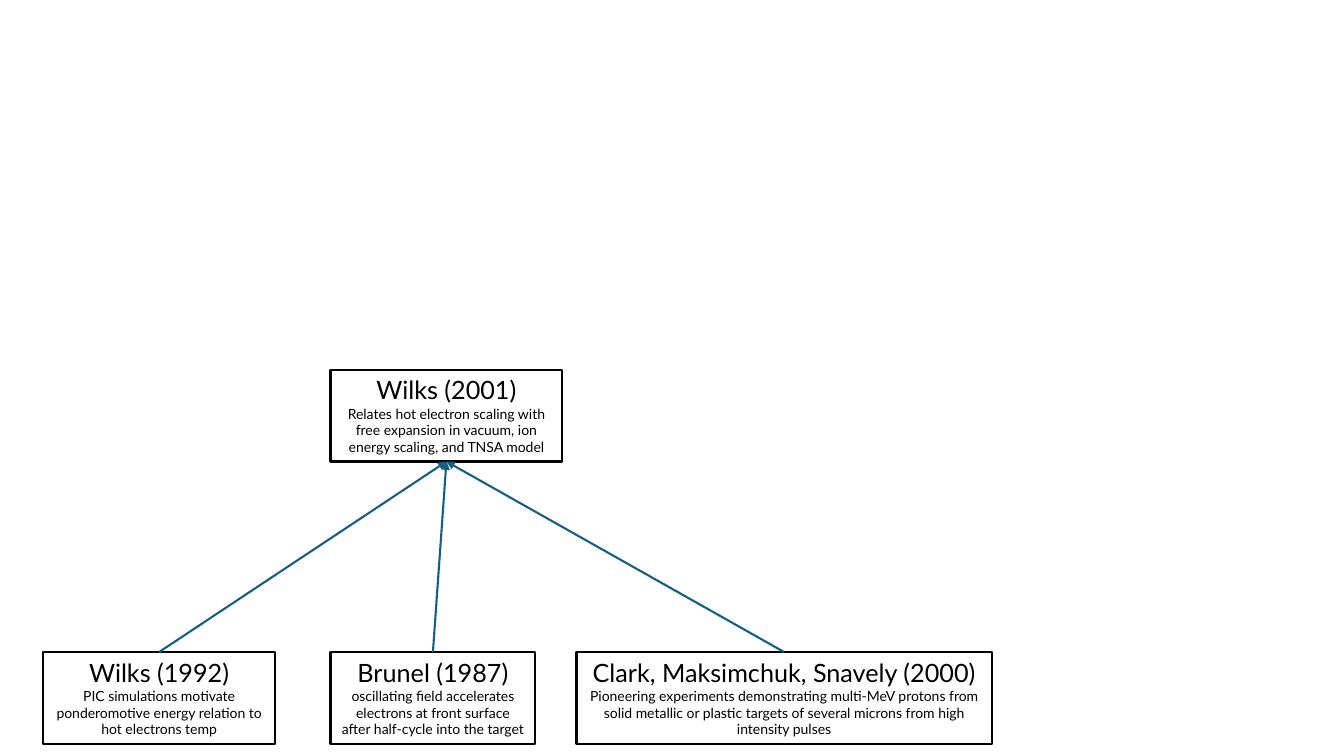
from dataclasses import dataclass

from lxml.etree import SubElement
from pptx import Presentation
from pptx.dml.color import RGBColor
from pptx.enum.shapes import MSO_CONNECTOR as Connector, MSO_SHAPE as Preset
from pptx.enum.text import MSO_ANCHOR as Anchor, MSO_AUTO_SIZE as AutoSize, PP_ALIGN as Align
from pptx.oxml.ns import qn
from pptx.shapes.autoshape import Shape
from pptx.slide import Slide
from pptx.util import Cm, Pt

BLACK, WHITE, TEAL = "000000", "FFFFFF", "156082"
FONT = "Lato"
BOX_HEIGHT = 2.31
LINE_WIDTH = Pt(1.5)
TOP_SIDE, BOTTOM_SIDE = 0, 2
EARLIER_TOP, MODEL_TOP = 16.43, 9.32


@dataclass(frozen=True)
class Paper:
    authors: str
    finding: str
    left: float
    top: float
    width: float


EARLIER_PAPERS = [
    Paper("Brunel (1987)",
          "oscillating field accelerates electrons at front surface "
          "after half-cycle into the target",
          8.33, EARLIER_TOP, 5.16),
    Paper("Wilks (1992)",
          "PIC simulations motivate ponderomotive energy relation to hot electrons temp",
          1.09, EARLIER_TOP, 5.84),
    Paper("Clark, Maksimchuk, Snavely (2000)",
          "Pioneering experiments demonstrating multi-MeV protons from solid metallic "
          "or plastic targets of several microns from high intensity pulses",
          14.53, EARLIER_TOP, 10.46),
]
MODEL_PAPER = Paper(
    "Wilks (2001)",
    "Relates hot electron scaling with free expansion in vacuum, "
    "ion energy scaling, and TNSA model",
    8.33, MODEL_TOP, 5.84)


def color(code: str) -> RGBColor:
    return RGBColor.from_string(code)


def draw_paper(slide: Slide, paper: Paper) -> Shape:
    box = slide.shapes.add_shape(Preset.RECTANGLE, Cm(paper.left), Cm(paper.top),
                                 Cm(paper.width), Cm(BOX_HEIGHT))
    box.shadow.inherit = False
    box.fill.solid()
    box.fill.fore_color.rgb = color(WHITE)
    box.line.color.rgb = color(BLACK)
    box.line.width = LINE_WIDTH

    frame = box.text_frame
    frame.word_wrap = True
    frame.auto_size = AutoSize.SHAPE_TO_FIT_TEXT
    frame.vertical_anchor = Anchor.TOP
    authors, finding = frame.paragraphs[0], frame.add_paragraph()
    for paragraph, text, size in ((authors, paper.authors, 18), (finding, paper.finding, 10)):
        paragraph.alignment = Align.CENTER
        run = paragraph.add_run()
        run.text = text
        run.font.name = FONT
        run.font.size = Pt(size)
        run.font.color.rgb = color(BLACK)
    return box


def draw_influence(slide: Slide, earlier: Shape, later: Shape) -> None:
    arrow = slide.shapes.add_connector(Connector.STRAIGHT, 0, 0, 0, 0)
    arrow.begin_connect(earlier, TOP_SIDE)
    arrow.end_connect(later, BOTTOM_SIDE)
    arrow.line.color.rgb = color(TEAL)
    arrow.line.width = LINE_WIDTH
    properties = arrow._element.spPr
    SubElement(properties.find(qn("a:ln")), qn("a:tailEnd"), type="triangle")
    SubElement(properties, qn("a:effectLst"))


def main() -> None:
    deck = Presentation()
    deck.slide_width, deck.slide_height = Cm(33.87), Cm(19.05)
    slide = deck.slides.add_slide(deck.slide_layouts[6])

    earlier_boxes = [draw_paper(slide, paper) for paper in EARLIER_PAPERS]
    model_box = draw_paper(slide, MODEL_PAPER)
    for earlier_box in earlier_boxes:
        draw_influence(slide, earlier_box, model_box)

    deck.save("out.pptx")


if __name__ == "__main__":
    main()
